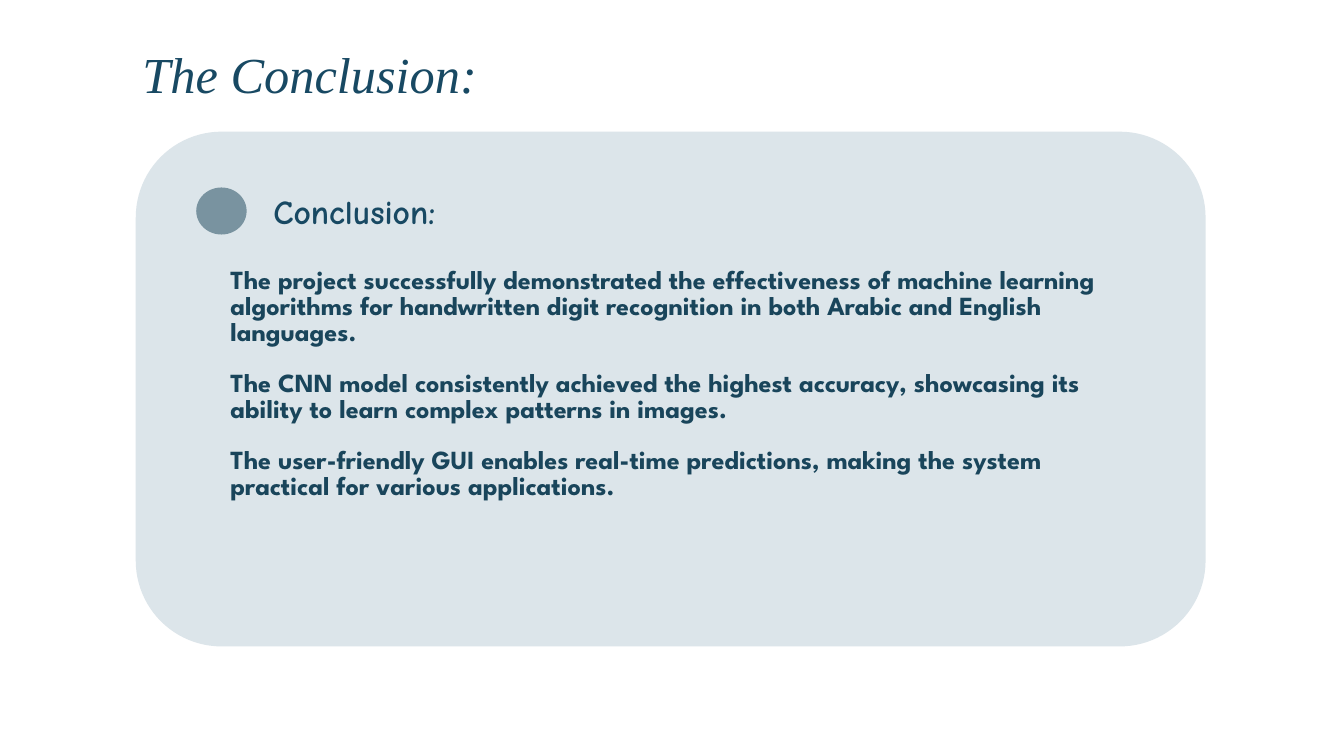
from lxml import etree
from pptx import Presentation
from pptx import util as u
from pptx.dml.color import RGBColor
from pptx.enum import shapes, text
from pptx.oxml.ns import qn

NAVY = "184963"
TITLE_FONT = {"name": "Times New Roman", "size": u.Pt(54), "italic": True, "bold": False}
HEADING_FONT = {"name": "Comic Neue", "size": u.Pt(36), "bold": True}
BODY_FONT = {"name": "League Spartan", "size": u.Pt(28), "bold": True}
BODY_SPACING = {
    "line_spacing": u.Pt(27.5),
    "space_before": u.Pt(0),
    "space_after": u.Pt(27.5),
}
CONCLUSIONS = [
    "The project successfully demonstrated the effectiveness of machine learning "
    "algorithms for handwritten digit recognition in both Arabic and English languages.",
    "The CNN model consistently achieved the highest accuracy, showcasing its "
    "ability to learn complex patterns in images.",
    "The user-friendly GUI enables real-time predictions, making the system "
    "practical for various applications.",
]


def colour(value):
    """Return the colour for a hex string."""
    return RGBColor.from_string(value)


def set_attributes(target, values):
    """Set each named value on the target."""
    for name, value in values.items():
        setattr(target, name, value)


def place(shape, left, top, width, height):
    """Move and size a shape, in inches."""
    box = {"left": left, "top": top, "width": width, "height": height}
    set_attributes(shape, {name: u.Inches(value) for name, value in box.items()})


def add_filled_shape(slide, kind, box, fill):
    """Add a plain filled shape without line or shadow."""
    shape = slide.shapes.add_shape(kind, *map(u.Inches, box))
    shape.shadow.inherit = False
    shape.fill.solid()
    shape.fill.fore_color.rgb = colour(fill)
    shape.line.fill.background()
    return shape


def remove_bullet(paragraph):
    """Clear the bullet and its hanging indent."""
    properties = paragraph._p.get_or_add_pPr()
    properties.set("marL", "0")
    properties.set("indent", "0")
    etree.SubElement(properties, qn("a:buNone"))


def write_text(shape, lines, font, font_colour, spacing=None):
    """Fill a shape with left-aligned formatted paragraphs."""
    frame = shape.text_frame
    frame.text = "\n".join(lines)
    set_attributes(frame, {
        "word_wrap": True,
        "auto_size": text.MSO_AUTO_SIZE.NONE,
        "vertical_anchor": text.MSO_ANCHOR.TOP,
    })
    for paragraph in frame.paragraphs:
        set_attributes(paragraph, {"alignment": text.PP_ALIGN.LEFT, **(spacing or {})})
        remove_bullet(paragraph)
        for run in paragraph.runs:
            set_attributes(run.font, font)
            run.font.color.rgb = colour(font_colour)


def main():
    """Build the conclusion slide and save it."""
    presentation = Presentation()
    presentation.slide_width = u.Inches(20)
    presentation.slide_height = u.Inches(11.25)
    slide = presentation.slides.add_slide(presentation.slide_layouts[1])
    title, body = slide.placeholders

    card = add_filled_shape(
        slide, shapes.MSO_SHAPE.ROUNDED_RECTANGLE, (2.02, 1.96, 15.92, 7.66), "DCE5EA")
    title.element.addprevious(card.element)
    add_filled_shape(slide, shapes.MSO_SHAPE.OVAL, (2.92, 2.79, 0.75, 0.7), "7993A0")

    place(title, 2.02, 0.59, 10.25, 1.01)
    write_text(title, ["The Conclusion:"], TITLE_FONT, NAVY)

    heading = slide.shapes.add_textbox(*map(u.Inches, (3.97, 2.79, 13.03, 0.71)))
    write_text(heading, ["Conclusion:"], HEADING_FONT, NAVY)

    place(body, 3.33, 3.96, 13.3, 3.64)
    write_text(body, CONCLUSIONS, BODY_FONT, "19455B", BODY_SPACING)

    presentation.save("out.pptx")


if __name__ == "__main__":
    main()
